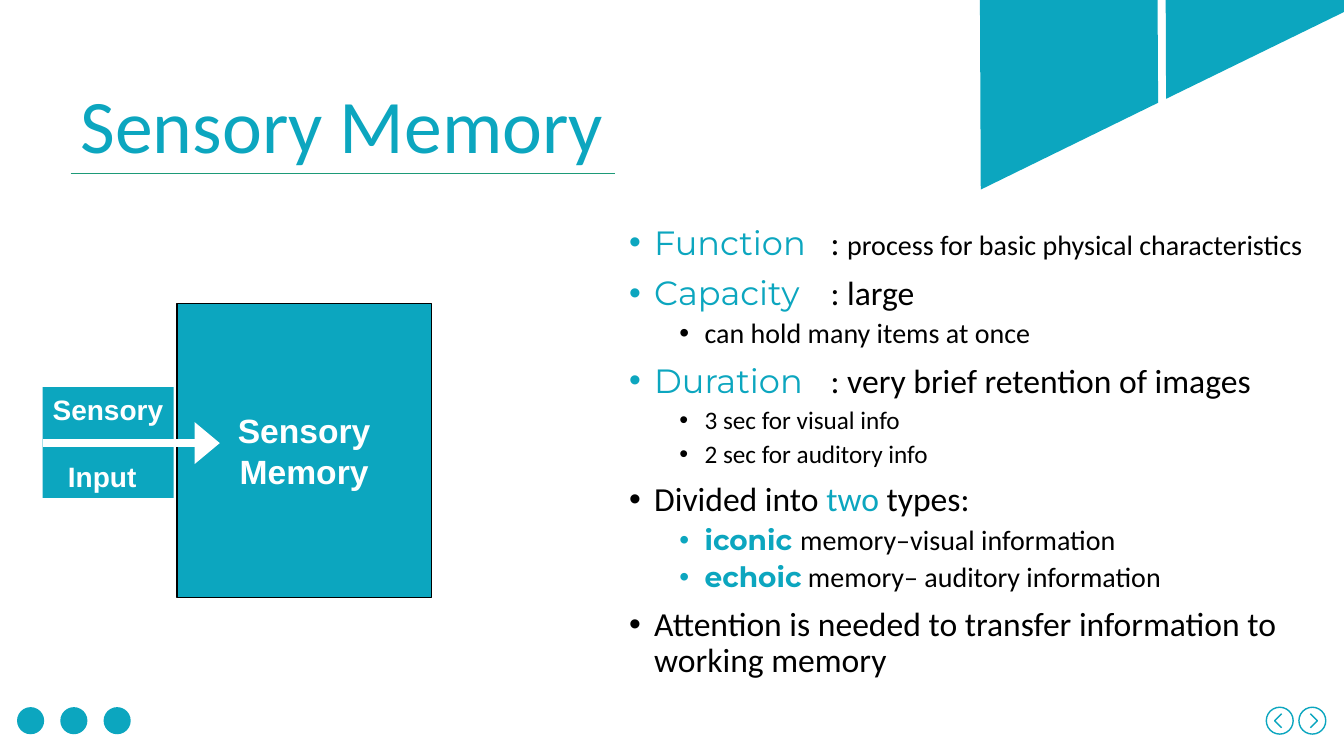
"""Build the Sensory Memory slide."""
from lxml.etree import SubElement
from pptx import Presentation
from pptx.dml.color import RGBColor
from pptx.enum.shapes import MSO_CONNECTOR, MSO_SHAPE
from pptx.enum.text import MSO_ANCHOR, MSO_AUTO_SIZE, PP_ALIGN
from pptx.oxml.ns import qn
from pptx.util import Pt

TEAL, BLACK, WHITE, RULE = "0CA6BF", "000000", "FFFFFF", "1D9A78"


def colour(value):
    return RGBColor.from_string(value)


class Deck:
    def __init__(self, width, height):
        self.prs = Presentation()
        self.prs.slide_width, self.prs.slide_height = Pt(width), Pt(height)
        self.slide = self.prs.slides.add_slide(self.prs.slide_layouts[5])
        self.shapes = self.slide.shapes

    def style(self, run, size, tint, face="Calibri", bold=False):
        run.font.size, run.font.name, run.font.bold = Pt(size), face, bold
        run.font.color.rgb = colour(tint)

    def paint(self, shape, fill, line=None, weight=1):
        shape.shadow.inherit = False
        if fill:
            shape.fill.solid()
            shape.fill.fore_color.rgb = colour(fill)
        else:
            shape.fill.background()
        if line:
            shape.line.color.rgb = colour(line)
            shape.line.width = Pt(weight)
        else:
            shape.line.fill.background()
        return shape

    def title(self, text, left, top, width, height, size):
        heading = self.shapes.title
        heading.left, heading.top = Pt(left), Pt(top)
        heading.width, heading.height = Pt(width), Pt(height)
        frame = heading.text_frame
        frame.text = text
        frame.auto_size = MSO_AUTO_SIZE.NONE
        frame.vertical_anchor = MSO_ANCHOR.TOP
        frame.paragraphs[0].alignment = PP_ALIGN.LEFT
        self.style(frame.paragraphs[0].runs[0], size, TEAL)

    def shape(self, kind, left, top, width, height, fill, line=None):
        box = self.shapes.add_shape(kind, Pt(left), Pt(top), Pt(width), Pt(height))
        return self.paint(box, fill, line)

    def label(self, box, text, size, align, anchor):
        frame = box.text_frame
        frame.text = text
        frame.word_wrap = True
        frame.margin_right = 0 if align == PP_ALIGN.LEFT else frame.margin_left
        frame.vertical_anchor = anchor
        for paragraph in frame.paragraphs:
            paragraph.alignment = align
            self.style(paragraph.runs[0], size, WHITE, "Arial", True)
        return frame.paragraphs

    def outline(self, contours, fill=None, line=None, close=True):
        builder = None
        for contour in contours:
            start, *rest = [(Pt(x), Pt(y)) for x, y in contour]
            if builder:
                builder.move_to(*start)
            else:
                builder = self.shapes.build_freeform(*start)
            builder.add_line_segments(rest, close=close)
        return self.paint(builder.convert_to_shape(), fill, line)

    def line(self, left, right, y, tint, weight, arrow=False):
        rule = self.shapes.add_connector(
            MSO_CONNECTOR.STRAIGHT, Pt(left), Pt(y), Pt(right), Pt(y))
        rule.line.color.rgb = colour(tint)
        rule.line.width = Pt(weight)
        properties = rule._element.spPr
        if arrow:
            SubElement(properties.find(qn("a:ln")), qn("a:tailEnd"),
                       type="triangle", w="lg", len="med")
        SubElement(properties, qn("a:effectLst"))

    def bullets(self, items, left, top, width, height):
        frame = self.shapes.add_textbox(
            Pt(left), Pt(top), Pt(width), Pt(height)).text_frame
        frame.word_wrap = True
        for index, (level, runs) in enumerate(items):
            paragraph = frame.add_paragraph() if index else frame.paragraphs[0]
            paragraph.level = level
            paragraph.line_spacing = 0.9
            paragraph.space_before = Pt(5 if level else 10)
            properties = paragraph._p.get_or_add_pPr()
            properties.set("marL", str(Pt(18 + 36 * level)))
            properties.set("indent", str(-Pt(18)))
            SubElement(properties, qn("a:buFont"), typeface="Arial")
            SubElement(properties, qn("a:buChar"), char="•")
            for text, *look in runs:
                run = paragraph.add_run()
                run.text = text
                self.style(run, *look)


def main():
    deck = Deck(960, 540)
    deck.title("Sensory Memory", 50.4, 52.2, 400, 72.8, 54)

    def key(text):
        return text, 24, TEAL, "Montserrat"

    def kind(text):
        return text, 20, TEAL, "Montserrat", True

    deck.bullets([
        (0, [key("Function \t"), (": ", 24, BLACK),
             ("process for basic physical characteristics", 20, BLACK)]),
        (0, [key("Capacity\t"), (": large", 24, BLACK)]),
        (1, [("can hold many items at once", 20, BLACK)]),
        (0, [key("Duration\t"), (": very brief retention of images", 24, BLACK)]),
        (1, [("3 sec for visual info", 18, BLACK)]),
        (1, [("2 sec for auditory info", 18, BLACK)]),
        (0, [("Divided into ", 24, BLACK), ("two ", 24, TEAL), ("types:", 24, BLACK)]),
        (1, [kind("iconic "), ("memory–visual information", 20, BLACK)]),
        (1, [kind("echoic"), (" memory– auditory information", 20, BLACK)]),
        (0, [("Attention is needed to transfer information to working memory",
              24, BLACK)]),
    ], 442.2, 158.1, 509.8, 380)

    stimulus = deck.shape(MSO_SHAPE.RECTANGLE, 30.5, 276.5, 93.6, 79.2, TEAL)
    _, second_line = deck.label(
        stimulus, "Sensory\nInput", 20, PP_ALIGN.LEFT, MSO_ANCHOR.TOP)
    second_line.space_before = Pt(24.4)
    second_line._p.get_or_add_pPr().set("marL", str(Pt(11)))

    store = deck.shape(MSO_SHAPE.RECTANGLE, 126.4, 216.7, 181.7, 210.2, TEAL, BLACK)
    deck.label(store, "Sensory\nMemory", 24, PP_ALIGN.CENTER, MSO_ANCHOR.MIDDLE)
    deck.line(30.5, 157, 316.5, WHITE, 6, arrow=True)

    deck.outline([
        [(700, 0), (826.9, 0), (827.3, 73.4), (700.6, 135.4)],
        [(832.7, 0), (960, 0), (960, 8.6), (833, 70.6)],
    ], TEAL)
    deck.line(50.4, 439.2, 123.8, RULE, 0.5)

    middle = 514.8
    for centre, direction in ((914.1, -1), (937.4, 1)):
        deck.shape(MSO_SHAPE.OVAL, centre - 9.6, middle - 9.6, 19.2, 19.2, None, TEAL)
        back, tip = centre - 1.4 * direction, centre + 3.6 * direction
        deck.outline([[(back, middle - 5), (tip, middle), (back, middle + 5)]],
                     line=TEAL, close=False)
    for dot in range(3):
        deck.shape(MSO_SHAPE.OVAL, 12.2 + 30.9 * dot, middle - 9.7, 19.4, 19.4, TEAL)

    deck.prs.save("out.pptx")


if __name__ == "__main__":
    main()
